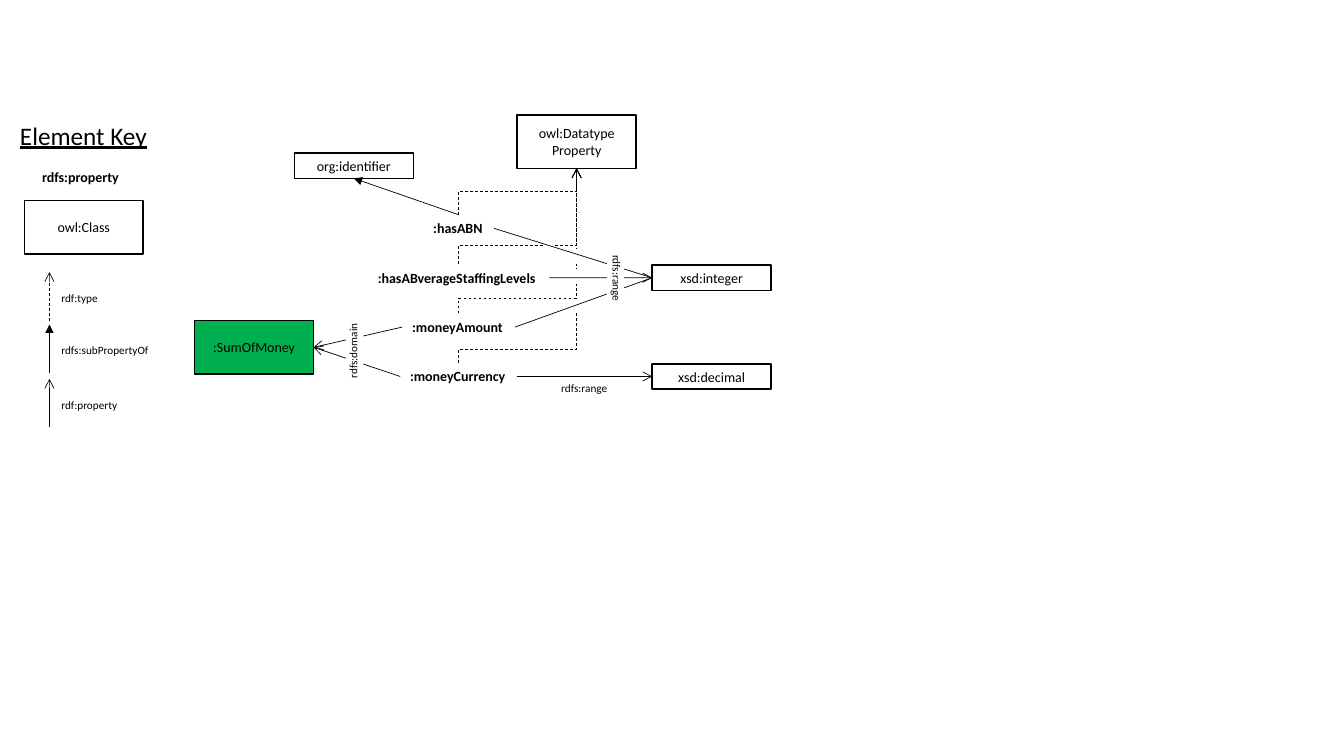
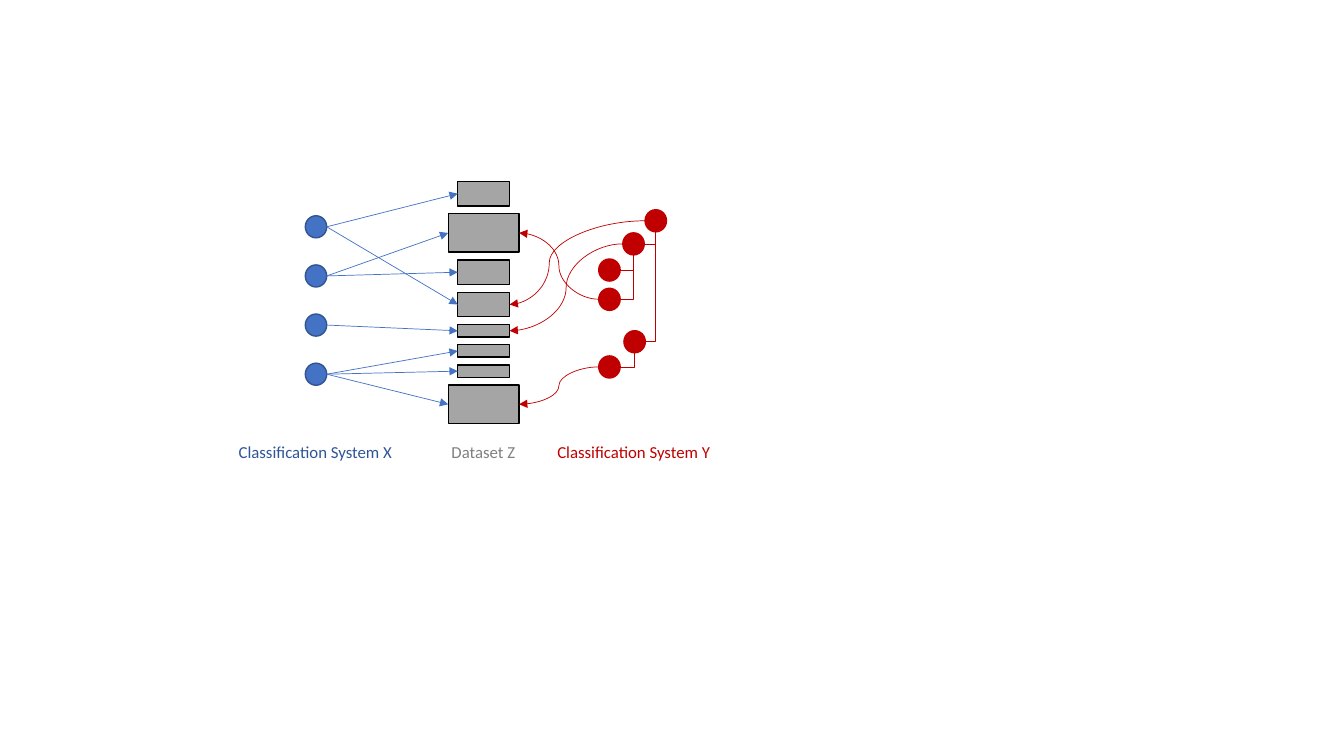
from lxml.etree import SubElement as Sub
from pptx import Presentation
from pptx.dml.color import RGBColor as RGB
from pptx.enum.dml import MSO_LINE
from pptx.enum.shapes import MSO_CONNECTOR as CON, MSO_SHAPE as SHP
from pptx.enum.text import MSO_ANCHOR as ANC, MSO_AUTO_SIZE as FIT, PP_ALIGN as AL
from pptx.oxml.ns import qn
from pptx.util import Pt

HUES = {
    "black": "000000", "white": "FFFFFF", "green": "00B050", "gray": "A5A5A5",
    "blue": "4472C4", "rim": "325491", "red": "C00000",
    "navy": "2F5597", "ash": "808080",
}
RGBS = {name: RGB.from_string(code) for name, code in HUES.items()}
TOP, LEFT, BOTTOM, RIGHT = range(4)


def box(page, at, text="", kind=None, fill=None, rim=None, hue="black", **style):
    """Add a preset shape, or a text box of one line's height when kind is None."""
    look = {"name": "Calibri", "size": Pt(10), **style}
    if kind is None:
        at = (*at[:3], look["size"].pt * 1.22 + 7.2)
        item = page.shapes.add_textbox(*map(Pt, at))
        frame = {"word_wrap": False, "auto_size": FIT.SHAPE_TO_FIT_TEXT}
        align = AL.LEFT
    else:
        item = page.shapes.add_shape(kind, *map(Pt, at))
        item.shadow.inherit = False
        item.line.color.rgb = RGBS[rim]
        item.line.width = Pt(1)
        frame = {"word_wrap": True, "vertical_anchor": ANC.MIDDLE}
        align = AL.CENTER
    if fill:
        item.fill.solid()
        item.fill.fore_color.rgb = RGBS[fill]
    if text:
        for key, val in frame.items():
            setattr(item.text_frame, key, val)
        para = item.text_frame.paragraphs[0]
        para.text, para.alignment = text, align
        for run in para.runs:
            run.font.color.rgb = RGBS[hue]
            for key, val in look.items():
                setattr(run.font, key, val)
    return item


def link(page, start, end, hue="black", tail=None, dash=False,
         kind=CON.STRAIGHT, adj=None):
    """Join two ends, each a point in EMU or a (shape, side) pair.

    An elbow leaves vertically; without adj it has a single corner.
    """
    spots = []
    for one, two in (start, end):
        if hasattr(one, "left"):
            one, two = (one.left + one.width * (1, 0, 1, 2)[two] // 2,
                        one.top + one.height * (0, 1, 2, 1)[two] // 2)
        spots += [one, two]
    if kind == CON.ELBOW:
        x1, y1, x2, y2 = spots
        midx, midy, dx, dy = (x1 + x2) // 2, (y1 + y2) // 2, x2 - x1, y2 - y1
        spots = [midx - dy // 2, midy + dx // 2, midx + dy // 2, midy - dx // 2]
    wire = page.shapes.add_connector(kind, *spots)
    wire.line.color.rgb = RGBS[hue]
    wire.line.width = Pt(0.5)
    if dash:
        wire.line.dash_style = MSO_LINE.DASH
    props = wire.element.spPr
    if tail:
        Sub(props.find(qn("a:ln")), qn("a:tailEnd"), type=tail)
    Sub(props, qn("a:effectLst"))
    geom = props.find(qn("a:prstGeom"))
    if kind == CON.ELBOW:
        props.find(qn("a:xfrm")).set("rot", "5400000")
        if adj is None:
            geom.set("prst", "bentConnector2")
    if adj is not None:
        Sub(geom.find(qn("a:avLst")), qn("a:gd"), name="adj1",
            fmla=f"val {round(adj * 100000)}")
    if kind == CON.STRAIGHT:
        for (item, side), join in ((start, wire.begin_connect), (end, wire.end_connect)):
            if hasattr(item, "left"):
                if item.element.spPr.find(qn("a:prstGeom")).get("prst") == "rect":
                    join(item, side)
    return wire


deck = Presentation()
deck.slide_width, deck.slide_height = Pt(960), Pt(540)
blank = deck.slide_layouts[6]

# Slide 1: property diagram
page = deck.slides.add_slide(blank)

box(page, (7.2, 82.1, 105.8), "Element Key", size=Pt(18), underline=True)
box(page, (23, 116.6, 70.6), "rdfs:property", bold=True)
for name, tip, wide, tail, dash in (
    ("rdf:type", 194.4, 41, "arrow", True),
    ("rdfs:subPropertyOf", 231.8, 77.8, "triangle", False),
    ("rdf:property", 270.7, 54.7, "arrow", False),
):
    link(page, (Pt(35.3), Pt(tip + 34.6)), (Pt(35.3), Pt(tip)), tail=tail, dash=dash)
    box(page, (36.7, tip + 10.1, wide), name, size=Pt(8))

nodes = {}
for name, x, y, high, fill in (
    (":SumOfMoney", 139, 229, 38.2, "green"),
    ("owl:Class", 17.3, 143.3, 38.2, "white"),
    ("owl:Datatype\vProperty", 369.4, 82.1, 38.2, "white"),
    ("org:identifier", 210.2, 109.4, 18, "white"),
    ("xsd:integer", 465.8, 189.4, 18, "white"),
    ("xsd:decimal", 465.8, 259.9, 18, "white"),
):
    nodes[name] = box(page, (x, y, 85, high), name, SHP.RECTANGLE, fill, "black")

for row, (name, wide, adj) in enumerate((
    (":hasABN", 50.4, 0.5),
    (":hasABverageStaffingLevels", 129.6, 0.196),
    (":moneyAmount", 80.6, 0.104),
    (":moneyCurrency", 83.5, 0.069),
)):
    nodes[name] = box(page, (327.6 - wide / 2, 153.4 + 35.27 * row, wide), name, bold=True)
    link(page, (nodes[name], TOP), (nodes["owl:Datatype\vProperty"], BOTTOM),
         tail="arrow", dash=True, kind=CON.ELBOW, adj=adj)

# White gaps where the solid lines cross the dashed ones
for x, y in ((406.8, 213.8), (406.1, 178.6), (408.2, 193), (388.1, 170.6)):
    box(page, (x, y, 7.2, 9.4), kind=SHP.RECTANGLE, fill="white", rim="white")

for src, out, dest, into, tail in (
    (":hasABN", TOP, "org:identifier", BOTTOM, "triangle"),
    (":moneyAmount", LEFT, ":SumOfMoney", RIGHT, "arrow"),
    (":moneyCurrency", LEFT, ":SumOfMoney", RIGHT, "arrow"),
    (":moneyCurrency", RIGHT, "xsd:decimal", LEFT, "arrow"),
    (":hasABverageStaffingLevels", RIGHT, "xsd:integer", LEFT, "arrow"),
    (":moneyAmount", RIGHT, "xsd:integer", LEFT, None),
    (":hasABN", RIGHT, "xsd:integer", LEFT, None),
):
    link(page, (nodes[src], out), (nodes[dest], into), tail=tail)

box(page, (393.8, 268.6, 48.2), "rdfs:range", size=Pt(8))
for name, x, y, wide, turn in (
    ("rdfs:range", 422.6, 193, 33.8, 90),
    ("rdfs:domain", 233.3, 244.1, 40.3, 270),
):
    tag = box(page, (x, y, wide), name, fill="white", size=Pt(8))
    tag.height, tag.rotation = Pt(12.2), turn
    for side, gap in {"left": 0, "top": 0, "right": 0, "bottom": 2.9}.items():
        setattr(tag.text_frame, f"margin_{side}", Pt(gap))

# Slide 2: two classification systems around a dataset
page = deck.slides.add_slide(blank)

sizes = {"big": (50.6, 27.4), "mid": (37, 17.5), "thin": (37, 8.8)}
bars, y = [], 129.6
for size in ("mid", "big", "mid", "mid", "thin", "thin", "thin", "big"):
    wide, high = sizes[size]
    bars.append(box(page, (345.5 - wide / 2, y, wide, high),
                    kind=SHP.RECTANGLE, fill="gray", rim="black"))
    y += high + 5.6

dot = (15.3, 15.8)
for row, hits in enumerate(((0, 3), (1, 2), (4,), (5, 6, 7))):
    item = box(page, (218.1, 154.1 + 35.1 * row, *dot),
               kind=SHP.OVAL, fill="blue", rim="rim")
    for hit in hits:
        link(page, (item, RIGHT), (bars[hit], LEFT), "blue", "triangle")

tree = {}
for name, above, x, y in (
    ("root", None, 460.8, 149.8),
    ("upper", "root", 444.9, 166.3),
    ("lower", "root", 445.7, 236.2),
    ("leaf 1", "upper", 427.7, 185),
    ("leaf 2", "upper", 427.7, 205.9),
    ("leaf 3", "lower", 427.7, 254.2),
):
    tree[name] = box(page, (x, y, *dot), kind=SHP.OVAL, fill="red", rim="red")
    if above:
        link(page, (tree[above], BOTTOM), (tree[name], RIGHT), "red", kind=CON.ELBOW)

for name, hit, adj in (("root", 3, 0.707), ("upper", 4, 0.5),
                       ("leaf 2", 1, 0.5), ("leaf 3", 7, 0.5)):
    link(page, (tree[name], LEFT), (bars[hit], RIGHT), "red", "triangle",
         kind=CON.CURVE, adj=adj)

for name, x, wide, hue in (
    ("Classification System X", 163.4, 125.3, "navy"),
    ("Dataset Z", 315.4, 60.5, "ash"),
    ("Classification System Y", 391, 125.3, "red"),
):
    box(page, (x, 311.8, wide), name, hue=hue, size=Pt(12))

deck.save("out.pptx")
